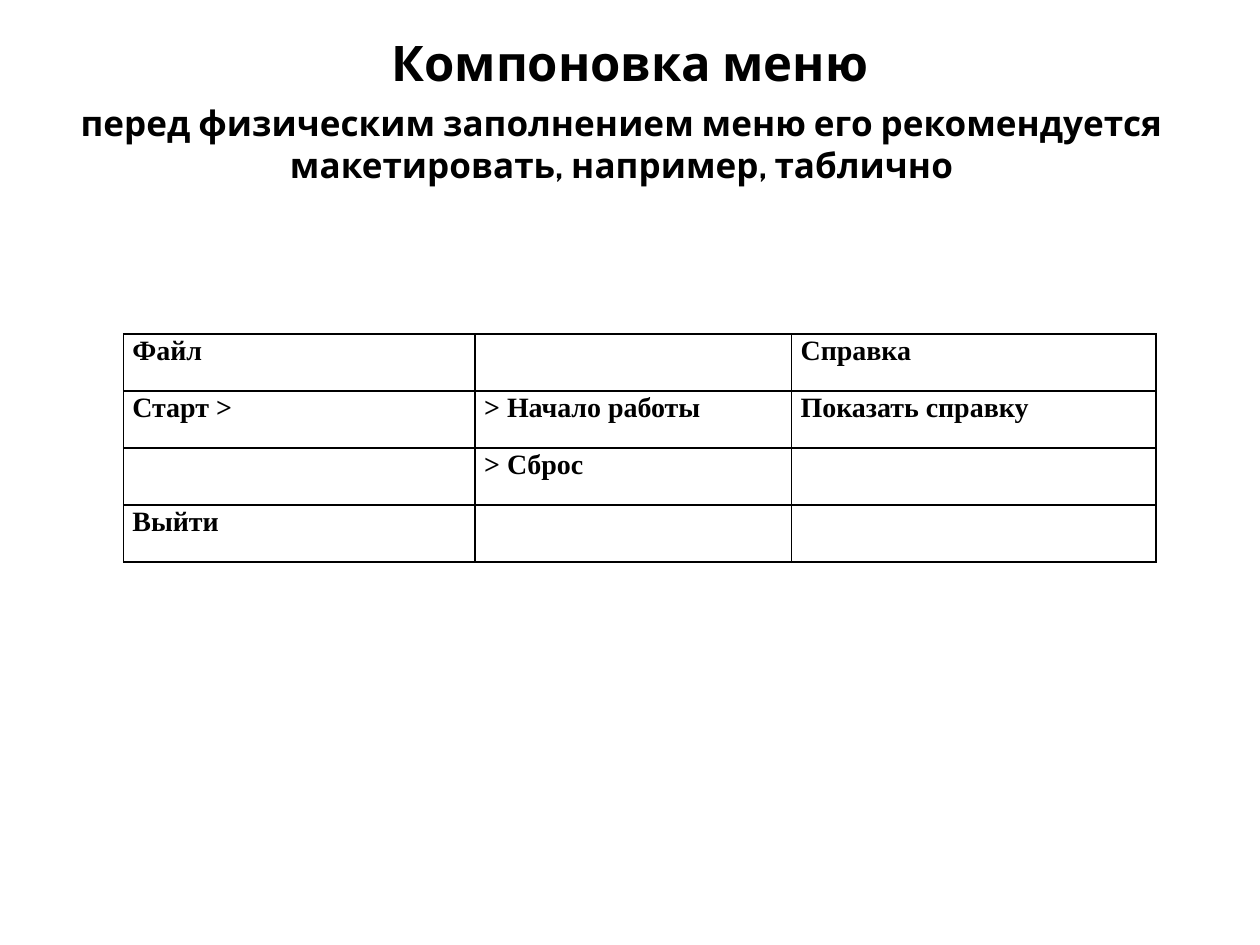
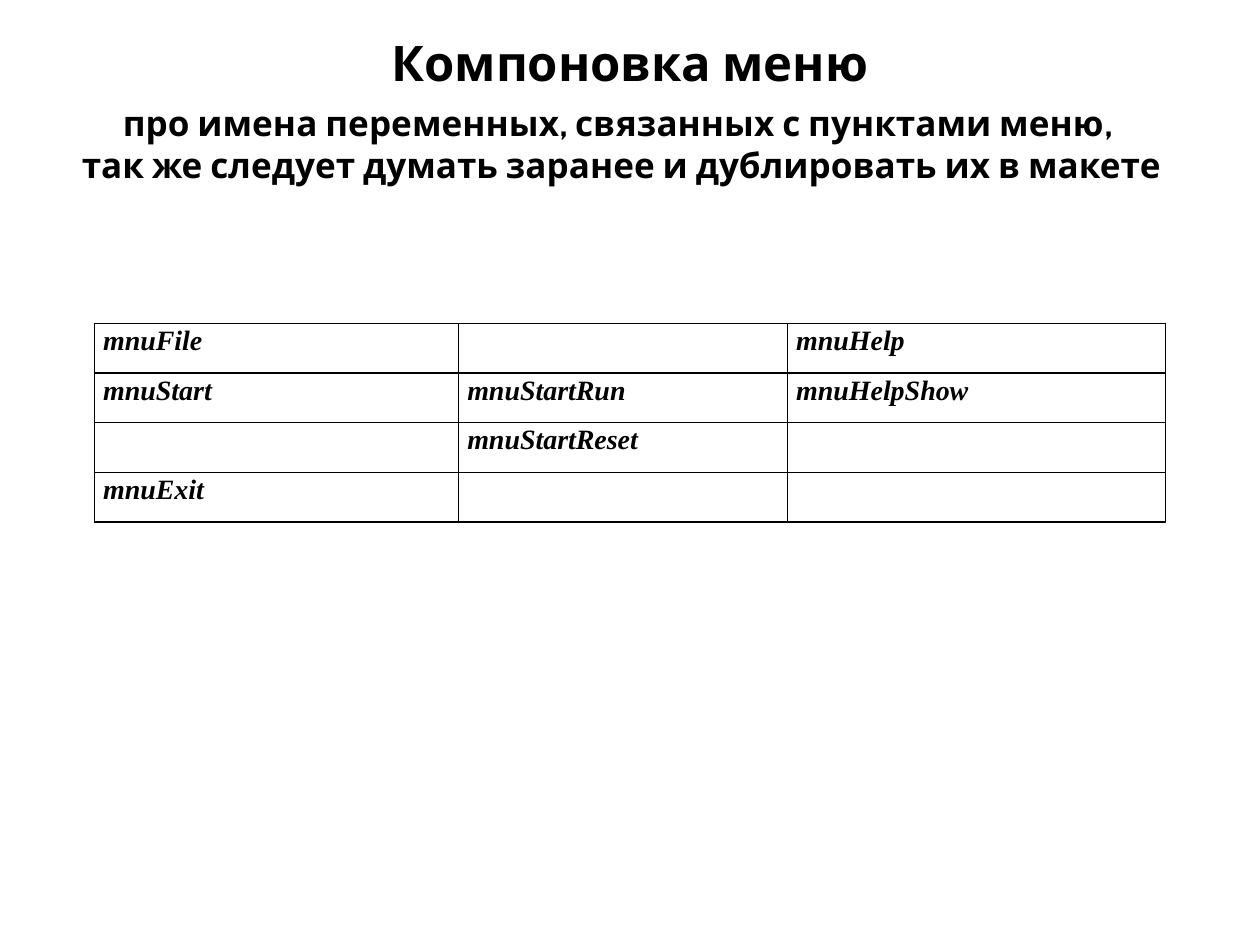
from dataclasses import dataclass

from pptx import Presentation
from pptx.dml.color import RGBColor
from pptx.enum.text import MSO_AUTO_SIZE, PP_ALIGN
from pptx.oxml import parse_xml
from pptx.oxml.ns import nsdecls
from pptx.presentation import Presentation as Deck
from pptx.slide import Slide
from pptx.table import _Cell
from pptx.text.text import _Paragraph
from pptx.util import Cm, Pt


@dataclass(frozen=True)
class Theme:
    ink: str = "000000"
    heading_font: str = "Cabin"
    table_font: str = "Times New Roman"
    title_size: int = 28
    subtitle_size: int = 20
    table_size: int = 16
    border_width: int = 1
    table_spacing: float = 1.07
    cell_inset: float = 0.18


@dataclass(frozen=True)
class Box:
    """A place on the slide, in centimetres."""
    left: float
    top: float
    width: float
    height: float


@dataclass(frozen=True)
class MenuTable:
    left: float
    top: float
    columns: tuple[float, ...]
    row_height: float
    rows: tuple[tuple[str, ...], ...]
    italic: bool = False


@dataclass(frozen=True)
class MenuSlide:
    subtitle: str
    table: MenuTable


THEME = Theme()
TITLE = "Компоновка меню"
TITLE_BOX = Box(0.3, 0.53, 24.79, 1.45)
SUBTITLE_BOX = Box(0.53, 1.93, 24, 1.96)

SLIDES = (
    MenuSlide(
        "перед физическим заполнением меню его рекомендуется макетировать, например, таблично",
        MenuTable(2.49, 6.73, (7.09, 6.38, 7.34), 1.15, (
            ("Файл", "", "Справка"),
            ("Старт >", "> Начало работы", "Показать справку"),
            ("", "> Сброс", ""),
            ("Выйти", "", ""),
        )),
    ),
    MenuSlide(
        "про имена переменных, связанных с пунктами меню, \n"
        "так же следует думать заранее и дублировать их в макете",
        MenuTable(1.9, 6.52, (7.34, 6.63, 7.62), 1, (
            ("mnuFile", "", "mnuHelp"),
            ("mnuStart", "mnuStartRun", "mnuHelpShow"),
            ("", "mnuStartReset", ""),
            ("mnuExit", "", ""),
        ), italic=True),
    ),
)


def format_runs(p: _Paragraph, font: str, size: int, italic: bool = False) -> None:
    for r in p.runs:
        r.font.name = font
        r.font.size = Pt(size)
        r.font.bold = True
        r.font.italic = italic
        r.font.color.rgb = RGBColor.from_string(THEME.ink)


def add_heading(s: Slide, text: str, box: Box, size: int) -> None:
    sp = s.shapes.add_textbox(Cm(box.left), Cm(box.top), Cm(box.width), Cm(box.height))
    tf = sp.text_frame
    tf.word_wrap = True
    tf.auto_size = MSO_AUTO_SIZE.SHAPE_TO_FIT_TEXT
    tf.text = text
    for p in tf.paragraphs:
        p.alignment = PP_ALIGN.CENTER
        format_runs(p, THEME.heading_font, size)


def add_borders(cell: _Cell) -> None:
    tc_pr = cell._tc.get_or_add_tcPr()
    for side in ("lnL", "lnR", "lnT", "lnB"):
        tc_pr.append(parse_xml(
            f'<a:{side} {nsdecls("a")} w="{Pt(THEME.border_width)}">'
            f'<a:solidFill><a:srgbClr val="{THEME.ink}"/></a:solidFill></a:{side}>'
        ))


def fill_cell(cell: _Cell, text: str, italic: bool) -> None:
    cell.margin_left = cell.margin_right = Cm(THEME.cell_inset)
    cell.margin_top = cell.margin_bottom = 0
    add_borders(cell)
    cell.fill.background()
    if text:
        cell.text_frame.text = text
        p = cell.text_frame.paragraphs[0]
        p.line_spacing = THEME.table_spacing
        format_runs(p, THEME.table_font, THEME.table_size, italic)


def add_menu_table(s: Slide, menu: MenuTable) -> None:
    table = s.shapes.add_table(
        len(menu.rows), len(menu.columns), Cm(menu.left), Cm(menu.top),
        Cm(sum(menu.columns)), Cm(menu.row_height * len(menu.rows)),
    ).table
    table.first_row = table.horz_banding = False
    for column, width in zip(table.columns, menu.columns):
        column.width = Cm(width)
    for row, texts in zip(table.rows, menu.rows):
        row.height = Cm(menu.row_height)
        for cell, text in zip(row.cells, texts):
            fill_cell(cell, text, menu.italic)


def add_menu_slide(prs: Deck, content: MenuSlide) -> None:
    s = prs.slides.add_slide(prs.slide_layouts[6])
    add_heading(s, TITLE, TITLE_BOX, THEME.title_size)
    add_heading(s, content.subtitle, SUBTITLE_BOX, THEME.subtitle_size)
    add_menu_table(s, content.table)


def main() -> None:
    prs = Presentation()
    prs.slide_width, prs.slide_height = Cm(25.4), Cm(19.05)
    for content in SLIDES:
        add_menu_slide(prs, content)
    prs.save("out.pptx")


if __name__ == "__main__":
    main()
